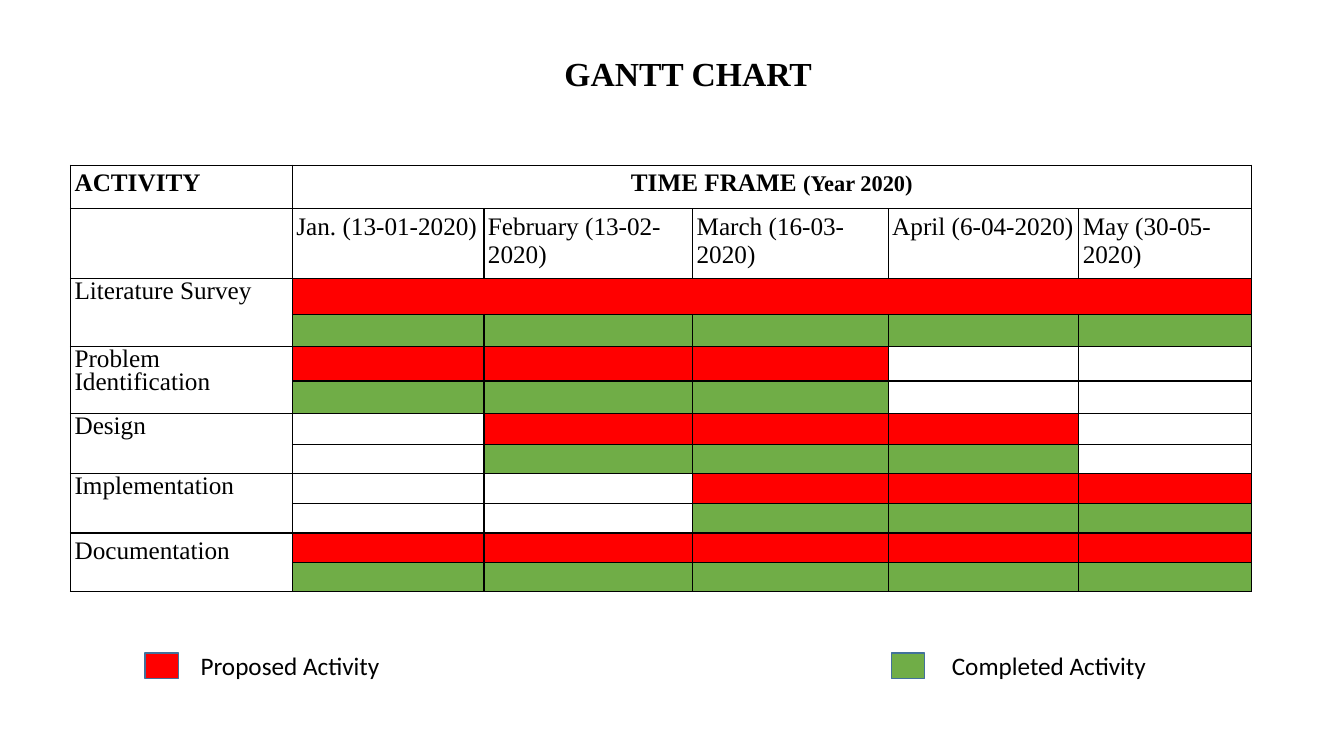
"""Build a Gantt chart slide with a two-row bar pair per activity."""
from dataclasses import dataclass

import lxml.etree
import pptx
import pptx.dml.color
import pptx.enum.shapes
import pptx.enum.text
import pptx.oxml.ns
import pptx.util

Inches = pptx.util.Inches
Pt = pptx.util.Pt
Align = pptx.enum.text.PP_ALIGN
qn = pptx.oxml.ns.qn


@dataclass(frozen=True)
class Theme:
    proposed: str = "FF0000"
    completed: str = "70AD47"
    white: str = "FFFFFF"
    black: str = "000000"
    key_line: str = "42719B"
    serif: str = "Times New Roman"
    sans: str = "Calibri"
    title_size: int = 24
    body_size: int = 18
    year_size: int = 16
    empty_size: int = 10


@dataclass(frozen=True)
class Activity:
    name: str
    first_month: int
    last_month: int
    line_spacing: object = Pt(16)
    merged_bar: bool = False


@dataclass(frozen=True)
class LegendEntry:
    label: str
    color: str
    left: float
    label_left: float
    label_width: float


THEME = Theme()
MONTHS = ("Jan. (13-01-2020)", "February (13-02-2020)", "March (16-03-2020)",
          "April (6-04-2020)", "May (30-05-2020)")
ACTIVITIES = (
    Activity("Literature Survey", 1, 5, merged_bar=True),
    Activity("Problem Identification", 1, 3),
    Activity("Design", 2, 4),
    Activity("Implementation", 3, 5),
    Activity("Documentation", 1, 5, line_spacing=1.0),
)
LEGEND = (
    LegendEntry("Proposed Activity", THEME.proposed, 1.44, 1.94, 2.4),
    LegendEntry("Completed Activity", THEME.completed, 8.84, 9.39, 3.39),
)
COLUMN_WIDTHS = (2.2, 1.9, 2.07, 1.94, 1.89, 1.71)
ROW_HEIGHTS = (0.43, 0.69, 0.36, 0.32, 0.34, 0.32, 0.31, 0.29, 0.3, 0.29, 0.29, 0.29)


def rgb(color: str) -> pptx.dml.color.RGBColor:
    return pptx.dml.color.RGBColor.from_string(color)


def style_run(run, font_name: str, size: int, bold: bool = False) -> None:
    run.font.name = font_name
    run.font.size = Pt(size)
    run.font.bold = bold
    run.font.color.rgb = rgb(THEME.black)


def prepare_cell(cell) -> None:
    """Give an empty cell its white fill, margins, borders and small text height."""
    cell.margin_left = cell.margin_right = Inches(0.04)
    cell.margin_top = cell.margin_bottom = Inches(0.04)
    properties = cell._tc.get_or_add_tcPr()
    for side in ("a:lnL", "a:lnR", "a:lnT", "a:lnB"):
        border = lxml.etree.SubElement(properties, qn(side), w=str(Pt(1)))
        fill = lxml.etree.SubElement(border, qn("a:solidFill"))
        lxml.etree.SubElement(fill, qn("a:srgbClr"), val=THEME.black)
    fill_cell(cell, THEME.white)
    paragraph = cell.text_frame.paragraphs[0]
    lxml.etree.SubElement(paragraph._p, qn("a:endParaRPr"), sz=str(THEME.empty_size * 100))


def fill_cell(cell, color: str) -> None:
    cell.fill.solid()
    cell.fill.fore_color.rgb = rgb(color)


def write_cell(cell, text: str, bold: bool = False, line_spacing: object = 1.0):
    paragraph = cell.text_frame.paragraphs[0]
    paragraph.text = text
    paragraph.line_spacing = line_spacing
    paragraph.space_before = Pt(6)
    style_run(paragraph.runs[0], THEME.serif, THEME.body_size, bold)
    return paragraph


def add_gantt_table(slide) -> None:
    table = slide.shapes.add_table(
        len(ROW_HEIGHTS), len(COLUMN_WIDTHS), Inches(0.7), Inches(1.64),
        Inches(sum(COLUMN_WIDTHS)), Inches(sum(ROW_HEIGHTS))).table
    for column, width in zip(table.columns, COLUMN_WIDTHS):
        column.width = Inches(width)
    for row, height in zip(table.rows, ROW_HEIGHTS):
        row.height = Inches(height)
    for cell in table.iter_cells():
        prepare_cell(cell)

    write_cell(table.cell(0, 0), "ACTIVITY", bold=True)
    table.cell(0, 1).merge(table.cell(0, len(MONTHS)))
    heading = write_cell(table.cell(0, 1), "TIME FRAME ", bold=True)
    heading.alignment = Align.CENTER
    year = heading.add_run()
    year.text = "(Year 2020)"
    style_run(year, THEME.serif, THEME.year_size, bold=True)
    for column, month in enumerate(MONTHS, start=1):
        write_cell(table.cell(1, column), month)

    for index, activity in enumerate(ACTIVITIES):
        row = 2 + 2 * index
        table.cell(row, 0).merge(table.cell(row + 1, 0))
        write_cell(table.cell(row, 0), activity.name, line_spacing=activity.line_spacing)
        for column in range(activity.first_month, activity.last_month + 1):
            fill_cell(table.cell(row, column), THEME.proposed)
            fill_cell(table.cell(row + 1, column), THEME.completed)
        if activity.merged_bar:
            table.cell(row, activity.first_month).merge(table.cell(row, activity.last_month))


def add_text(slide, text: str, left: float, top: float, width: float, height: float,
             font_name: str, size: int, bold: bool = False, wrap: bool = True):
    text_frame = slide.shapes.add_textbox(
        Inches(left), Inches(top), Inches(width), Inches(height)).text_frame
    text_frame.margin_left = text_frame.margin_right = Inches(0.05)
    text_frame.margin_top = text_frame.margin_bottom = Inches(0.05)
    text_frame.word_wrap = wrap
    text_frame.auto_size = pptx.enum.text.MSO_AUTO_SIZE.SHAPE_TO_FIT_TEXT
    text_frame.text = text
    paragraph = text_frame.paragraphs[0]
    style_run(paragraph.runs[0], font_name, size, bold)
    return paragraph


def add_legend_entry(slide, entry: LegendEntry) -> None:
    key = slide.shapes.add_shape(
        pptx.enum.shapes.MSO_SHAPE.RECTANGLE,
        Inches(entry.left), Inches(6.48), Inches(0.33), Inches(0.25))
    key.shadow.inherit = False
    key.fill.solid()
    key.fill.fore_color.rgb = rgb(entry.color)
    key.line.color.rgb = rgb(THEME.key_line)
    key.line.width = Pt(1)
    add_text(slide, entry.label, entry.label_left, 6.4, entry.label_width, 0.36,
             THEME.sans, THEME.body_size)


def main() -> None:
    presentation = pptx.Presentation()
    presentation.slide_width = Inches(13.33)
    presentation.slide_height = Inches(7.5)
    slide = presentation.slides.add_slide(presentation.slide_layouts[6])
    add_gantt_table(slide)
    title = add_text(slide, "GANTT CHART", 5.54, 0.52, 2.57, 0.46,
                     THEME.serif, THEME.title_size, bold=True, wrap=False)
    title.alignment = Align.CENTER
    title.line_spacing = 0.9
    for entry in LEGEND:
        add_legend_entry(slide, entry)
    presentation.save("out.pptx")


if __name__ == "__main__":
    main()
